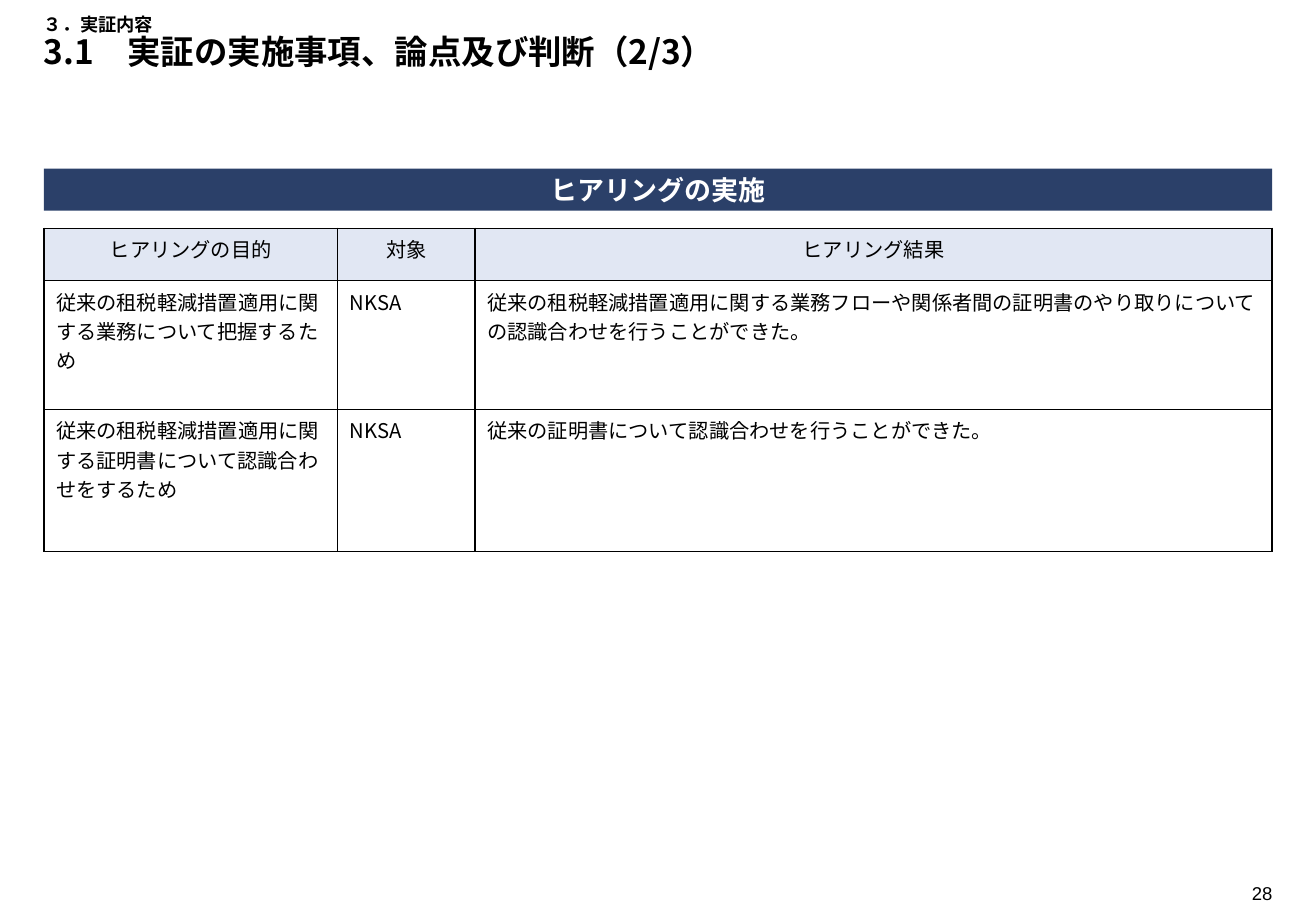
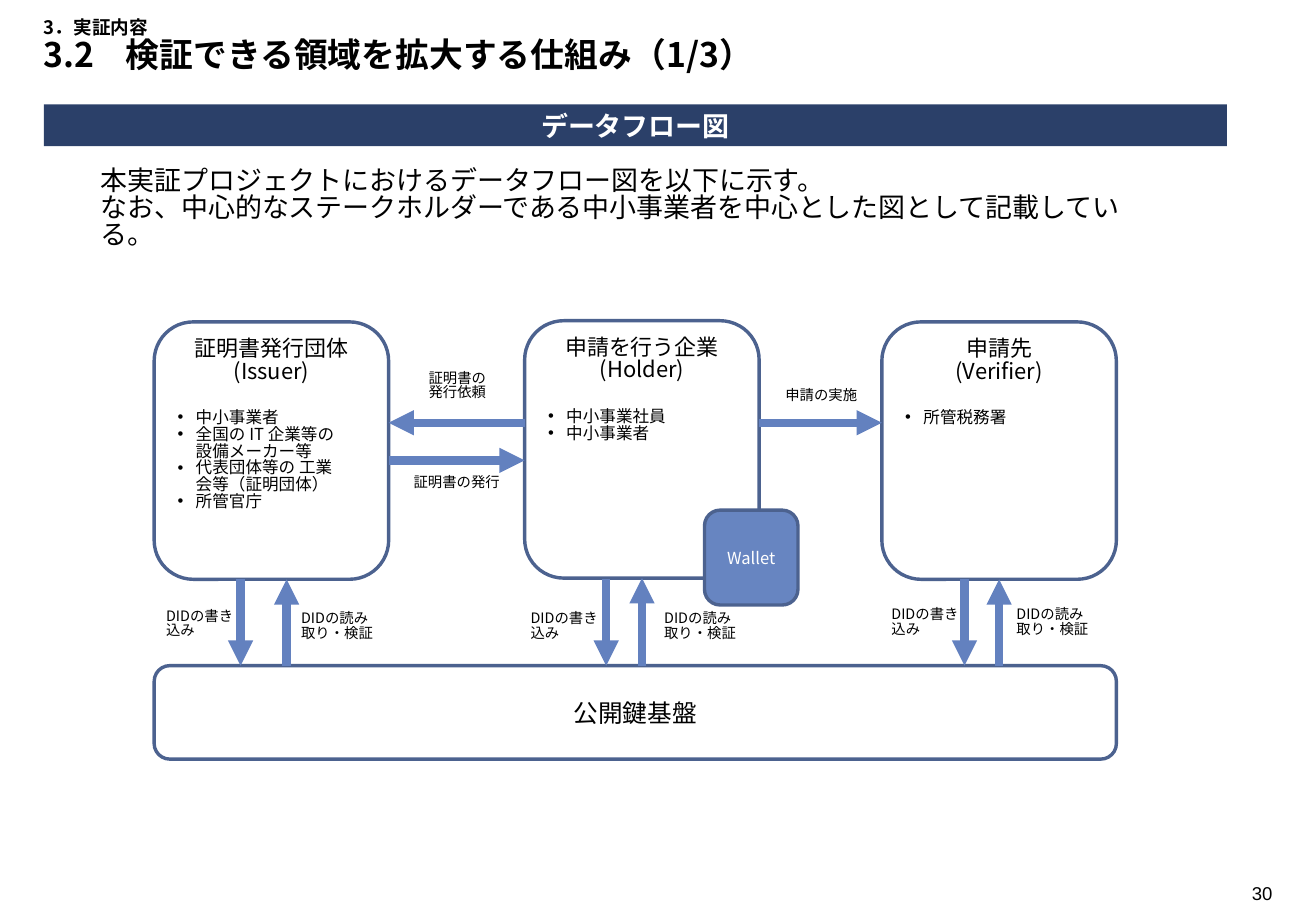
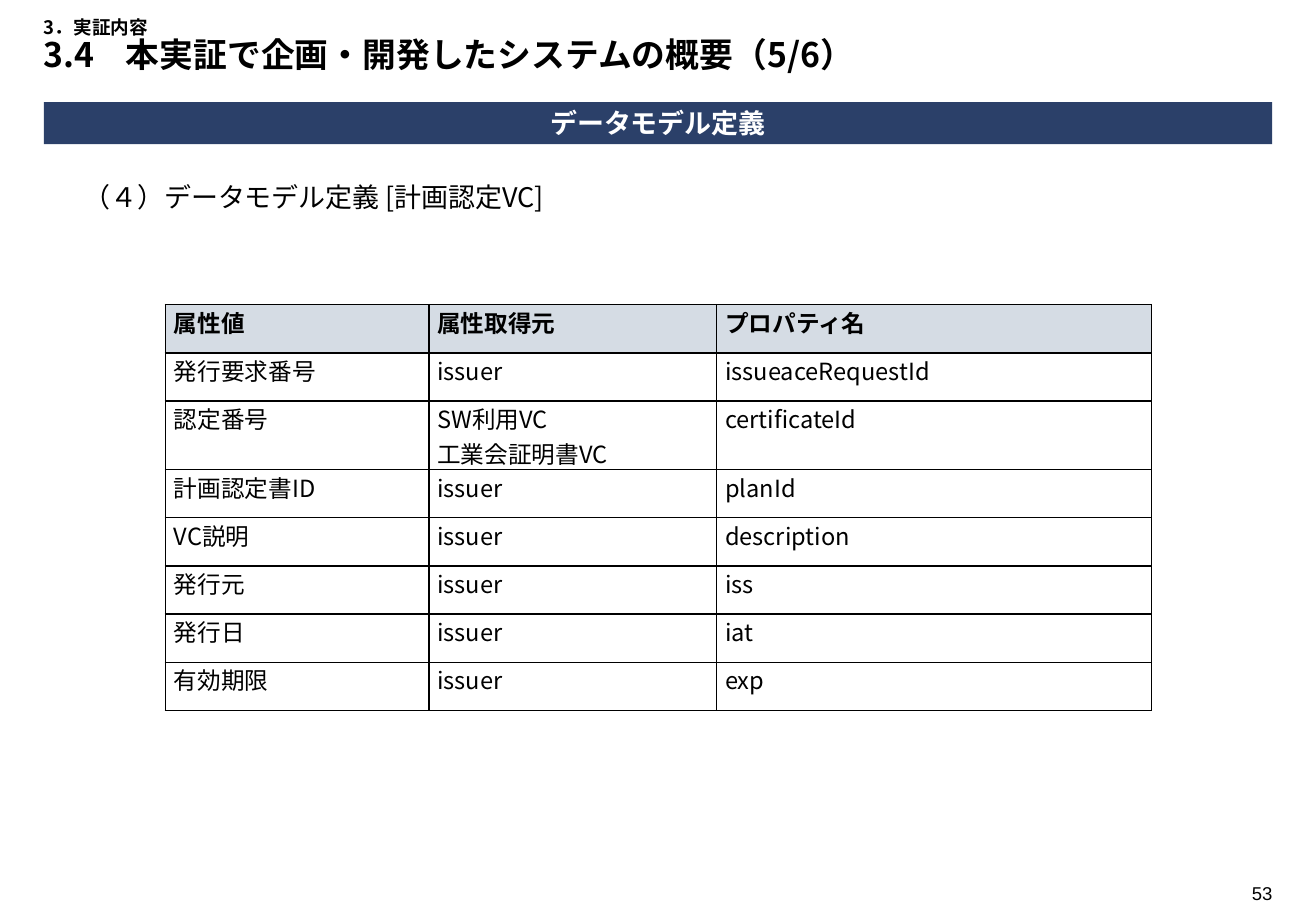
from dataclasses import dataclass
from typing import Optional

import pptx
import pptx.dml.color
import pptx.enum.dml
import pptx.enum.lang
import pptx.enum.shapes
import pptx.enum.text
import pptx.oxml
import pptx.oxml.ns
import pptx.util
from lxml import etree

Pt = pptx.util.Pt
RGBColor = pptx.dml.color.RGBColor
ALIGN = pptx.enum.text.PP_ALIGN
ANCHOR = pptx.enum.text.MSO_ANCHOR
SHAPE = pptx.enum.shapes.MSO_SHAPE
qn = pptx.oxml.ns.qn

BLACK = RGBColor(0x00, 0x00, 0x00)
WHITE = RGBColor(0xFF, 0xFF, 0xFF)
NAVY = RGBColor(0x2B, 0x40, 0x69)
OUTLINE = RGBColor(0x4C, 0x62, 0x8F)
FLOW = RGBColor(0x63, 0x81, 0xBF)
WALLET = RGBColor(0x67, 0x85, 0xC1)
PALE_BLUE = RGBColor(0xE1, 0xE7, 0xF3)
PALE_GREY = RGBColor(0xD5, 0xDC, 0xE4)

ARIAL = "Arial"
NOTO = "Noto Sans CJK JP"
MARGIN = 26
CONTENT_WIDTH = 728
TIGHT = 0.84
TITLE_TAB = 48.6

ROLE_TOP = 190.8
ROLE_WIDTH = 139
ROLE_HEIGHT = 152.6
ROLE_BOTTOM = ROLE_TOP + ROLE_HEIGHT
PLATFORM_TOP = 394.6


@dataclass(frozen=True)
class Area:
    left: float
    top: float
    width: float
    height: float

    def lengths(self) -> tuple:
        return Pt(self.left), Pt(self.top), Pt(self.width), Pt(self.height)


@dataclass(frozen=True)
class Style:
    size: float
    font: str = NOTO
    color: RGBColor = BLACK
    bold: bool = False
    align: ALIGN = ALIGN.LEFT
    spacing: float = 1.0
    bullet: bool = False
    before: float = 0


@dataclass(frozen=True)
class Heading:
    chapter: str
    section: str
    top: float
    chapter_size: float
    section_size: float
    page: str


@dataclass(frozen=True)
class Role:
    left: float
    top: float
    name: str
    english: str
    members: tuple[str, ...]


@dataclass(frozen=True)
class KeyAccess:
    write_x: float
    write_label: tuple[float, float]
    read_label: tuple[float, float]
    read_x: Optional[float] = None


@dataclass(frozen=True)
class Grid:
    area: Area
    columns: tuple[float, ...]
    rows: tuple[float, ...]
    cells: tuple[tuple[str, ...], ...]
    header: Style
    body: Style
    header_fill: RGBColor
    margins: tuple[float, float]


BANNER = Style(16, ARIAL, WHITE, True, ALIGN.CENTER)
PAGE = Style(11, ARIAL, align=ALIGN.RIGHT)
INTRO = Style(16, ARIAL, spacing=TIGHT)
SUBHEADING = Style(16, spacing=TIGHT)
ROLE_NAME = Style(13, align=ALIGN.CENTER, spacing=TIGHT)
MEMBER = Style(9.8, spacing=TIGHT, bullet=True)
FIRST_MEMBER = Style(9.8, spacing=TIGHT, bullet=True, before=16)
FLOW_LABEL = Style(8.5, align=ALIGN.CENTER, spacing=TIGHT)
KEY_LABEL = Style(8.5, spacing=TIGHT)
PLATFORM = Style(14.6, ARIAL, align=ALIGN.CENTER)
WALLET_TEXT = Style(9.8, color=WHITE, align=ALIGN.CENTER)

ROLES = (
    Role(91.4, ROLE_TOP, "証明書発行団体", "(Issuer)",
         ("中小事業者", "全国の IT 企業等の\n設備メーカー等",
          "代表団体等の 工業\n会等（証明団体）", "所管官庁")),
    Role(311, ROLE_TOP - 0.7, "申請を行う企業", "(Holder)", ("中小事業社員", "中小事業者")),
    Role(522.7, ROLE_TOP, "申請先", "(Verifier)", ("所管税務署",)),
)
KEY_ACCESSES = (
    KeyAccess(142.6, (91.4, 357.8), (171.4, 359.3), 169.9),
    KeyAccess(359.3, (307.4, 359.3), (386.6, 359.3)),
    KeyAccess(571.7, (521.3, 357.1), (595.4, 357.1)),
)

HEARINGS = Grid(
    Area(MARGIN, 135.4, CONTENT_WIDTH, 191.5),
    (174.2, 81.4, 472.4), (31, 76.3, 84.2),
    (("ヒアリングの目的", "対象", "ヒアリング結果"),
     ("従来の租税軽減措置適用に関する業務について把握するため", "NKSA",
      "従来の租税軽減措置適用に関する業務フローや関係者間の証明書のやり取りについての認識合わせを行うことができた。"),
     ("従来の租税軽減措置適用に関する証明書について認識合わせをするため", "NKSA",
      "従来の証明書について認識合わせを行うことができた。")),
    Style(12, align=ALIGN.CENTER), Style(12), PALE_BLUE, (7.2, 3.6))

DATA_MODEL = Grid(
    Area(98, 180.6, 584.6, 240.7),
    (156.2, 170.6, 257.8), (28.6, 28.6, 40.6) + (28.6,) * 5,
    (("属性値", "属性取得元", "プロパティ名"),
     ("発行要求番号", "issuer", "issueaceRequestId"),
     ("認定番号", "SW利用VC\n工業会証明書VC", "certificateId"),
     ("計画認定書ID", "issuer", "planId"),
     ("VC説明", "issuer", "description"),
     ("発行元", "issuer", "iss"),
     ("発行日", "issuer", "iat"),
     ("有効期限", "issuer", "exp")),
    Style(14, bold=True), Style(14), PALE_GREY, (5, 0))


def add_run(paragraph, text: str, style: Style) -> None:
    run = paragraph.add_run()
    run.text = text
    font = run.font
    font.size = Pt(style.size)
    font.bold = style.bold
    font.color.rgb = style.color
    font.name = style.font
    font.language_id = pptx.enum.lang.MSO_LANGUAGE_ID.JAPANESE
    etree.SubElement(run._r.get_or_add_rPr(), qn("a:ea")).set("typeface", NOTO)


def add_bullet(paragraph) -> None:
    properties = paragraph._p.get_or_add_pPr()
    properties.set("marL", str(Pt(10.8)))
    properties.set("indent", str(-Pt(10.8)))
    etree.SubElement(properties, qn("a:buFont")).set("typeface", ARIAL)
    etree.SubElement(properties, qn("a:buChar")).set("char", "•")


def fill_text(frame, paragraphs: list[tuple[str, Style]]) -> None:
    for index, (text, style) in enumerate(paragraphs):
        paragraph = frame.add_paragraph() if index else frame.paragraphs[0]
        paragraph.alignment = style.align
        paragraph.line_spacing = style.spacing
        paragraph.space_before = Pt(style.before)
        if style.bullet:
            add_bullet(paragraph)
        for row, line in enumerate(text.split("\n")):
            if row:
                paragraph.add_line_break()
            add_run(paragraph, line, style)


def set_margins(target, horizontal: float, vertical: float) -> None:
    target.margin_left = target.margin_right = Pt(horizontal)
    target.margin_top = target.margin_bottom = Pt(vertical)


def add_text(slide, area: Area, paragraphs: list[tuple[str, Style]],
             horizontal: float = 7.2) -> None:
    frame = slide.shapes.add_textbox(*area.lengths()).text_frame
    frame.word_wrap = True
    set_margins(frame, horizontal, 3.6)
    fill_text(frame, paragraphs)


def add_panel(slide, preset: SHAPE, area: Area, paragraphs: list[tuple[str, Style]],
              fill: Optional[RGBColor] = None, outline: Optional[RGBColor] = None,
              anchor: ANCHOR = ANCHOR.MIDDLE):
    panel = slide.shapes.add_shape(preset, *area.lengths())
    panel.shadow.inherit = False
    if fill is None:
        panel.fill.background()
    else:
        panel.fill.solid()
        panel.fill.fore_color.rgb = fill
    if outline is None:
        panel.line.fill.background()
    else:
        panel.line.color.rgb = outline
        panel.line.width = Pt(2)
    panel.text_frame.word_wrap = True
    panel.text_frame.vertical_anchor = anchor
    fill_text(panel.text_frame, paragraphs)
    return panel


def add_banner(slide, text: str, top: float, width: float = CONTENT_WIDTH) -> None:
    banner = add_panel(slide, SHAPE.RECTANGLE, Area(MARGIN, top, width, 24.8),
                       [(text, BANNER)], fill=NAVY)
    set_margins(banner.text_frame, 2.9, 2.9)


def add_arrow(slide, start: tuple[float, float], end: tuple[float, float], target=None) -> None:
    arrow = slide.shapes.add_connector(
        pptx.enum.shapes.MSO_CONNECTOR.STRAIGHT, *(Pt(value) for value in start + end))
    if target is not None:
        arrow.end_connect(target, 2)
    arrow.line.color.rgb = FLOW
    arrow.line.width = Pt(5)
    etree.SubElement(arrow.line._get_or_add_ln(), qn("a:tailEnd")).set("type", "triangle")
    etree.SubElement(arrow._element.spPr, qn("a:effectLst"))


def add_borders(cell) -> None:
    properties = cell._tc.get_or_add_tcPr()
    for index, side in enumerate(("L", "R", "T", "B")):
        properties.insert(index, pptx.oxml.parse_xml(
            f'<a:ln{side} {pptx.oxml.ns.nsdecls("a")} w="{Pt(1)}"><a:solidFill>'
            f'<a:srgbClr val="{BLACK}"/></a:solidFill></a:ln{side}>'))


def add_grid(slide, grid: Grid) -> None:
    table = slide.shapes.add_table(
        len(grid.rows), len(grid.columns), *grid.area.lengths()).table
    for column, width in zip(table.columns, grid.columns):
        column.width = Pt(width)
    for row_index, (row, height) in enumerate(zip(table.rows, grid.rows)):
        row.height = Pt(height)
        style = grid.body if row_index else grid.header
        for cell, text in zip(row.cells, grid.cells[row_index]):
            set_margins(cell, *grid.margins)
            if row_index:
                cell.fill.background()
            else:
                cell.fill.solid()
                cell.fill.fore_color.rgb = grid.header_fill
            add_borders(cell)
            fill_text(cell.text_frame, [(line, style) for line in text.split("\n")])


def start_slide(deck, heading: Heading):
    slide = deck.slides.add_slide(deck.slide_layouts[5])
    title = slide.shapes.title
    title.left, title.top, title.width, title.height = Area(
        MARGIN, heading.top, CONTENT_WIDTH, 32.4).lengths()
    frame = title.text_frame
    frame.word_wrap = True
    frame.auto_size = pptx.enum.text.MSO_AUTO_SIZE.NONE
    frame.vertical_anchor = ANCHOR.TOP
    set_margins(frame, 0, 3.6)
    paragraph = frame.paragraphs[0]
    paragraph.alignment = ALIGN.LEFT
    paragraph.line_spacing = 0.9
    paragraph.space_before = Pt(0)
    tabs = etree.SubElement(paragraph._p.get_or_add_pPr(), qn("a:tabLst"))
    tab = etree.SubElement(tabs, qn("a:tab"))
    tab.set("pos", str(Pt(TITLE_TAB)))
    tab.set("algn", "l")
    add_run(paragraph, heading.chapter, Style(heading.chapter_size, bold=True))
    paragraph.add_line_break()
    add_run(paragraph, heading.section, Style(heading.section_size, bold=True))
    add_text(slide, Area(720, 519.1, 34.3, 20.9), [(heading.page, PAGE)], horizontal=0)
    return slide


def build_hearings(deck) -> None:
    slide = start_slide(deck, Heading(
        "３．実証内容", "3.1　実証の実施事項、論点及び判断（2/3）", 5.8, 10.8, 19.8, "28"))
    add_banner(slide, "ヒアリングの実施", 100)
    add_grid(slide, HEARINGS)


def add_role(slide, role: Role):
    members = [(member, MEMBER if index else FIRST_MEMBER)
               for index, member in enumerate(role.members)]
    return add_panel(
        slide, SHAPE.ROUNDED_RECTANGLE, Area(role.left, role.top, ROLE_WIDTH, ROLE_HEIGHT),
        [(role.name, ROLE_NAME), (role.english, ROLE_NAME)] + members,
        outline=OUTLINE, anchor=ANCHOR.TOP)


def add_key_access(slide, access: KeyAccess, role: Role, panel) -> None:
    add_arrow(slide, (access.write_x, ROLE_BOTTOM), (access.write_x, PLATFORM_TOP))
    read_x = access.read_x or role.left + ROLE_WIDTH / 2
    add_arrow(slide, (read_x, PLATFORM_TOP), (read_x, ROLE_BOTTOM),
              None if access.read_x else panel)
    for position, text in ((access.write_label, "DIDの書き込み"),
                           (access.read_label, "DIDの読み取り・検証")):
        add_text(slide, Area(*position, 59.8, 31.7), [(text, KEY_LABEL)])


def build_data_flow(deck) -> None:
    slide = start_slide(deck, Heading(
        "3．実証内容", "3.2\t検証できる領域を拡大する仕組み（1/3）", 7.2, 11, 20, "30"))
    add_banner(slide, "データフロー図", 61.9, 701.3)
    add_text(slide, Area(52.6, 96.5, 628.6, 46), [
        ("本実証プロジェクトにおけるデータフロー図を以下に示す。", INTRO),
        ("なお、中心的なステークホルダーである中小事業者を中心とした図として記載している。", INTRO)])

    panels = [add_role(slide, role) for role in ROLES]
    issuer, holder, verifier = ROLES
    platform_width = verifier.left + ROLE_WIDTH - issuer.left
    add_panel(slide, SHAPE.ROUNDED_RECTANGLE,
              Area(issuer.left, PLATFORM_TOP, platform_width, 55.4),
              [("公開鍵基盤", PLATFORM)], outline=OUTLINE)

    request_y, issue_y = 250.6, 272.9
    add_arrow(slide, (holder.left, request_y), (issuer.left + ROLE_WIDTH, request_y))
    add_arrow(slide, (issuer.left + ROLE_WIDTH, issue_y), (holder.left, issue_y))
    add_arrow(slide, (holder.left + ROLE_WIDTH, request_y), (verifier.left, request_y))
    for area, lines in (
            (Area(241.2, 216.7, 59.8, 31.7), ("証明書の", "発行依頼")),
            (Area(234.7, 278.6, 72, 20.2), ("証明書の発行",)),
            (Area(452.2, 226.8, 69.1, 20.2), ("申請の実施",))):
        add_text(slide, area, [(line, FLOW_LABEL) for line in lines])

    for access, role, panel in zip(KEY_ACCESSES, ROLES, panels):
        add_key_access(slide, access, role, panel)
    add_panel(slide, SHAPE.ROUNDED_RECTANGLE, Area(417.6, 302.4, 55.4, 56.2),
              [("Wallet", WALLET_TEXT)], fill=WALLET, outline=OUTLINE)


def build_data_model(deck) -> None:
    slide = start_slide(deck, Heading(
        "3．実証内容", "3.4\t本実証で企画・開発したシステムの概要（5/6）", 7.2, 11, 20, "53"))
    add_banner(slide, "データモデル定義", 60.6)
    add_grid(slide, DATA_MODEL)
    add_text(slide, Area(42.5, 106.6, 390.2, 26.6),
             [("（４）データモデル定義 [計画認定VC]", SUBHEADING)])


def main() -> None:
    deck = pptx.Presentation()
    deck.slide_width, deck.slide_height = Pt(780), Pt(540)
    build_hearings(deck)
    build_data_flow(deck)
    build_data_model(deck)
    deck.save("out.pptx")


if __name__ == "__main__":
    main()
